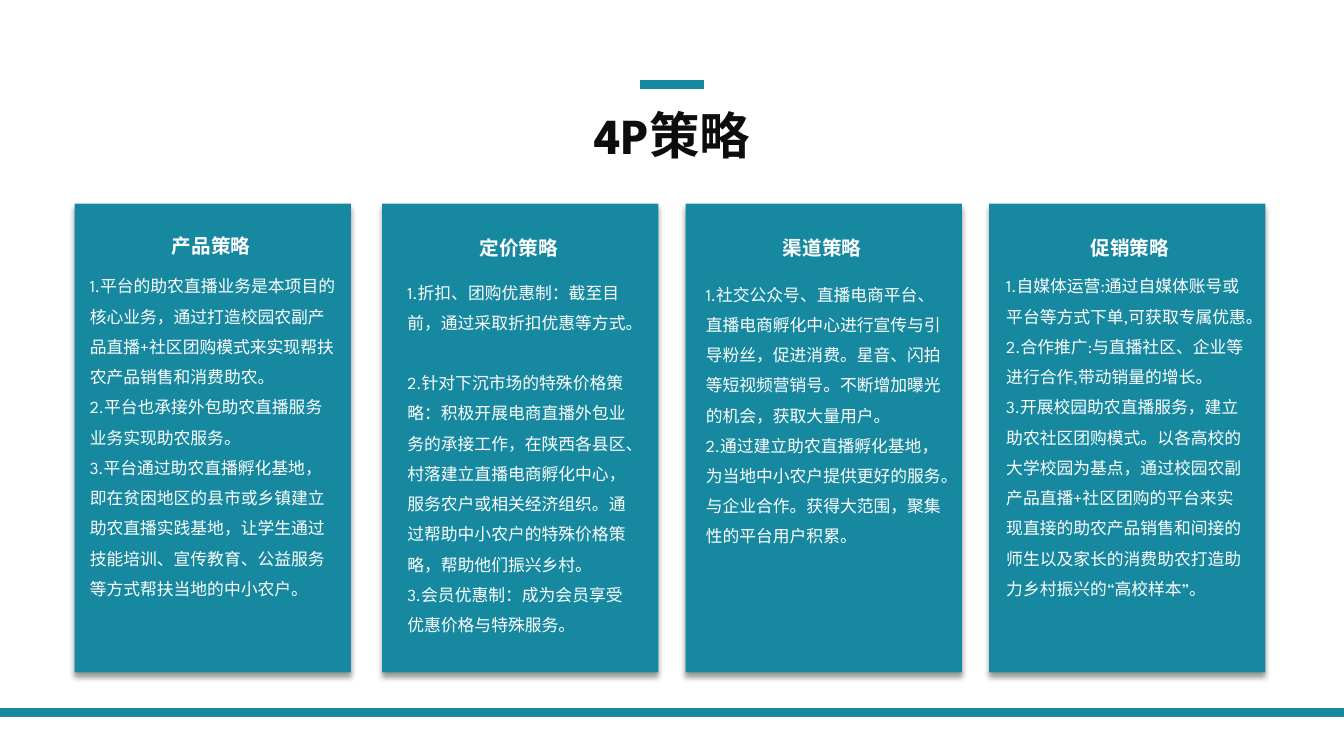
import pptx
import pptx.dml.color
import pptx.enum.shapes
import pptx.enum.text
import pptx.oxml
import pptx.oxml.ns
import pptx.util
from lxml import etree

Inches = pptx.util.Inches
Pt = pptx.util.Pt
ALIGN = pptx.enum.text.PP_ALIGN
COLORS = {"teal": "1689A0", "ink": "0D0D0D", "white": "FFFFFF", "shadow": "000000"}
FONT = "League Spartan"

STRATEGIES = [
    {
        "heading": "产品策略", "card_left": 0.74, "heading_at": (1.01, 2.27),
        "body_at": (0.79, 2.59, 2.67, 3.87),
        "points": [
            "1.平台的助农直播业务是本项目的核心业务，通过打造校园农副产品直播+社区团购模式来实现帮扶农产品销售和消费助农。",
            "2.平台也承接外包助农直播服务业务实现助农服务。",
            "3.平台通过助农直播孵化基地，即在贫困地区的县市或乡镇建立助农直播实践基地，让学生通过技能培训、宣传教育、公益服务等方式帮扶当地的中小农户。",
        ],
    },
    {
        "heading": "定价策略", "card_left": 3.79, "heading_at": (4.06, 2.29),
        "body_at": (3.94, 2.65, 2.45, 3.4), "first_gap": 21.6,
        "points": [
            "1.折扣、团购优惠制：截至目前，通过采取折扣优惠等方式。",
            "2.针对下沉市场的特殊价格策略：积极开展电商直播外包业务的承接工作，在陕西各县区、村落建立直播电商孵化中心，服务农户或相关经济组织。通过帮助中小农户的特殊价格策略，帮助他们振兴乡村。",
            "3.会员优惠制：成为会员享受优惠价格与特殊服务。",
        ],
    },
    {
        "heading": "渠道策略", "card_left": 6.8, "heading_at": (7.07, 2.29),
        "body_at": (6.9, 2.67, 2.55, 3.18),
        "points": [
            "1.社交公众号、直播电商平台、直播电商孵化中心进行宣传与引导粉丝，促进消费。星音、闪拍等短视频营销号。不断增加曝光的机会，获取大量用户。",
            "2.通过建立助农直播孵化基地，为当地中小农户提供更好的服务。",
            "与企业合作。获得大范围，聚集性的平台用户积累。",
        ],
    },
    {
        "heading": "促销策略", "card_left": 9.81, "heading_at": (10.12, 2.29),
        "body_at": (9.88, 2.59, 2.61, 3.87),
        "points": [
            "1.自媒体运营:通过自媒体账号或平台等方式下单,可获取专属优惠。2.合作推广:与直播社区、企业等进行合作,带动销量的增长。",
            "3.开展校园助农直播服务，建立助农社区团购模式。以各高校的大学校园为基点，通过校园农副产品直播+社区团购的平台来实现直接的助农产品销售和间接的师生以及家长的消费助农打造助力乡村振兴的“高校样本”。",
        ],
    },
]


def write_text(shape, paragraphs, size=12, color="white", bold=False,
               align=ALIGN.LEFT, line_spacing=1.0, first_gap=0):
    """Fill a shape with formatted paragraphs."""
    frame = shape.text_frame
    frame.word_wrap = True
    frame.auto_size = pptx.enum.text.MSO_AUTO_SIZE.NONE
    frame.vertical_anchor = pptx.enum.text.MSO_ANCHOR.TOP
    for index, text in enumerate(paragraphs):
        paragraph = frame.paragraphs[0] if index == 0 else frame.add_paragraph()
        paragraph.alignment = align
        paragraph.line_spacing = line_spacing
        paragraph.space_before = Pt(0)
        paragraph.space_after = Pt(first_gap if index == 0 else 0)
        properties = paragraph._p.get_or_add_pPr()
        properties.set("marL", "0")
        properties.set("indent", "0")
        etree.SubElement(properties, pptx.oxml.ns.qn("a:buNone"))
        run = paragraph.add_run()
        run.text = text
        run.font.size = Pt(size)
        run.font.bold = bold
        run.font.color.rgb = pptx.dml.color.RGBColor.from_string(COLORS[color])
        run.font.name = FONT
        latin = run.font._element.find(pptx.oxml.ns.qn("a:latin"))
        latin.addnext(pptx.oxml.parse_xml(
            f'<a:ea {pptx.oxml.ns.nsdecls("a")} typeface="{FONT}"/>'))


class StrategySlide:
    """Draws the parts of the strategy slide in one style."""

    def __init__(self, presentation):
        """Add a slide with a title and four body placeholders."""
        self.slide = presentation.slides.add_slide(presentation.slide_layouts[4])
        self.shapes = self.slide.shapes

    def place(self, placeholder, left, top, width, height):
        """Move a placeholder and bring it to the front."""
        placeholder.left, placeholder.top = Inches(left), Inches(top)
        placeholder.width, placeholder.height = Inches(width), Inches(height)
        placeholder.element.getparent().append(placeholder.element)
        return placeholder

    def title(self, text):
        """Write the slide title."""
        title = self.place(self.shapes.title, 4.35, 0.98, 4.64, 0.71)
        write_text(title, [text], size=36, color="ink", bold=True, align=ALIGN.CENTER)

    def bar(self, left, right, y):
        """Draw a thick horizontal line."""
        line = self.shapes.add_connector(
            pptx.enum.shapes.MSO_CONNECTOR.STRAIGHT,
            Inches(left), Inches(y), Inches(right), Inches(y))
        line.line.color.rgb = pptx.dml.color.RGBColor.from_string(COLORS["teal"])
        line.line.width = Pt(6)
        etree.SubElement(line.element.spPr, pptx.oxml.ns.qn("a:effectLst"))

    def card(self, left):
        """Draw a card with a soft shadow below it."""
        card = self.shapes.add_shape(
            pptx.enum.shapes.MSO_SHAPE.RECTANGLE,
            Inches(left), Inches(2.02), Inches(2.74), Inches(4.65))
        card.fill.solid()
        card.fill.fore_color.rgb = pptx.dml.color.RGBColor.from_string(COLORS["teal"])
        card.line.fill.background()
        card.element.spPr.append(pptx.oxml.parse_xml(
            f'<a:effectLst {pptx.oxml.ns.nsdecls("a")}>'
            f'<a:outerShdw blurRad="{Pt(4)}" dist="{Pt(3)}" dir="5400000" rotWithShape="0">'
            f'<a:srgbClr val="{COLORS["shadow"]}"><a:alpha val="40000"/></a:srgbClr>'
            '</a:outerShdw></a:effectLst>'))

    def heading(self, text, left, top):
        """Write a card heading."""
        box = self.shapes.add_textbox(Inches(left), Inches(top), Inches(2.17), Inches(0.38))
        write_text(box, [text], size=14, bold=True, align=ALIGN.CENTER)

    def body(self, placeholder, points, position, first_gap):
        """Write the points of a card."""
        self.place(placeholder, *position)
        write_text(placeholder, points, line_spacing=1.5, first_gap=first_gap)


def main():
    """Build and save the presentation."""
    presentation = pptx.Presentation()
    presentation.slide_width = Inches(13.33)
    presentation.slide_height = Inches(7.5)
    slide = StrategySlide(presentation)
    bodies = list(slide.slide.placeholders)[1:]
    slide.bar(0, 13.33, 7.07)
    slide.title("4P策略")
    slide.bar(6.35, 6.98, 0.84)
    for strategy, placeholder in zip(STRATEGIES, bodies):
        slide.card(strategy["card_left"])
        slide.body(placeholder, strategy["points"], strategy["body_at"],
                   strategy.get("first_gap", 0))
        slide.heading(strategy["heading"], *strategy["heading_at"])
    presentation.save("out.pptx")


if __name__ == "__main__":
    main()
